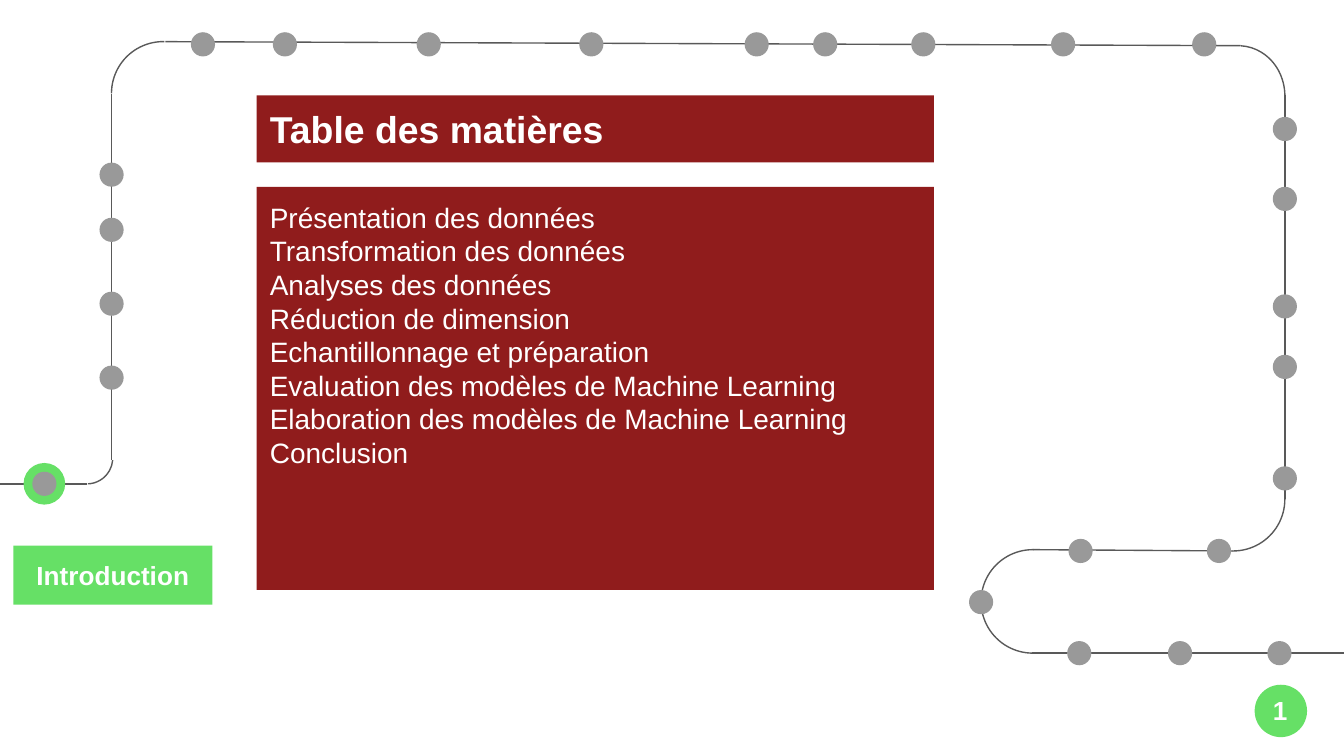
from lxml import etree
from pptx import Presentation
from pptx.dml.color import RGBColor
from pptx.enum.shapes import MSO_CONNECTOR, MSO_SHAPE
from pptx.enum.text import MSO_ANCHOR, PP_ALIGN
from pptx.oxml.ns import qn
from pptx.util import Inches, Pt

LINE = MSO_CONNECTOR.STRAIGHT
ARC, OVAL, RECT = MSO_SHAPE.ARC, MSO_SHAPE.OVAL, MSO_SHAPE.RECTANGLE
TOP, MIDDLE = MSO_ANCHOR.TOP, MSO_ANCHOR.MIDDLE
LEFT, CENTER = PP_ALIGN.LEFT, PP_ALIGN.CENTER

FONT = "Arial"
COLORS = {"track": "595959", "dot": "999999", "green": "66E066",
          "red": "901C1C", "text": "FFFFFF"}

TITLE = "Table des matières"
TOPICS = [
    "Présentation des données",
    "Transformation des données",
    "Analyses des données",
    "Réduction de dimension",
    "Echantillonnage et préparation",
    "Evaluation des modèles de Machine Learning",
    "Elaboration des modèles de Machine Learning",
    "Conclusion",
]
STAGE = "Introduction"
PAGE = "1"

# Straight track parts: x1, y1, x2, y2
TRACKS = [
    (-0.12, 3.6, 0.65, 3.6),
    (0.83, 3.42, 0.83, 0.7),
    (1.23, 0.31, 9.23, 0.34),
    (9.56, 0.71, 9.56, 3.71),
    (9.17, 4.1, 7.69, 4.09),
    (10.1, 4.86, 7.68, 4.86),
]
# Track bends: left, top, width, height, start and end angle in degrees
BENDS = [
    (0.46, 3.21, 0.38, 0.39, 5.8, 88.8),
    (0.83, 0.31, 0.77, 0.77, 180, 271.2),
    (8.87, 0.34, 0.69, 0.75, 272.5, 0),
    (8.79, 3.33, 0.77, 0.77, 0, 91.2),
    (7.3, 4.09, 0.77, 0.77, 90, 271.2),
]
# Dot centres: stops along the rows (y, xs) and the columns (x, ys)
ROWS = [
    (0.33, [1.51, 2.12, 3.19, 4.4, 5.63, 6.14, 6.87, 7.91, 8.96]),
    (3.6, [0.33]),
    (4.1, [8.04, 9.07]),
    (4.48, [7.3]),
    (4.86, [8.03, 8.78, 9.52]),
]
COLUMNS = [
    (0.83, [1.3, 1.71, 2.26, 2.81]),
    (9.56, [0.96, 1.48, 2.28, 2.73, 3.56]),
]
DOT, RING, BADGE = 0.18, 0.31, 0.39
PANEL_X, PANEL_W = 1.91, 5.04

deck = Presentation()
deck.slide_width = Inches(10)
deck.slide_height = deck.slide_width * 9 // 16
slide = deck.slides.add_slide(deck.slide_layouts[6])
shapes = slide.shapes


def color(name):
    return RGBColor.from_string(COLORS[name])


def ink(line):
    line.color.rgb = color("track")
    line.width = Pt(0.75)


def add_track(ends):
    track = shapes.add_connector(LINE, *map(Inches, ends))
    ink(track.line)
    etree.SubElement(track.element.spPr, qn("a:effectLst"))


def add_bend(box, start, end):
    bend = shapes.add_shape(ARC, *map(Inches, box))
    bend.shadow.inherit = False
    # The preset counts 60000ths of a degree, the adjustment 100000ths
    bend.adjustments[0], bend.adjustments[1] = start * 0.6, end * 0.6
    bend.fill.background()
    ink(bend.line)


def add_block(kind, box, fill):
    block = shapes.add_shape(kind, *map(Inches, box))
    block.shadow.inherit = False
    block.fill.solid()
    block.fill.fore_color.rgb = color(fill)
    block.line.fill.background()
    return block


def add_disc(x, y, size, fill):
    """Draw a disc centred on x, y."""
    add_block(OVAL, (x - size / 2, y - size / 2, size, size), fill)


def write(shape, lines, size, bold=False, align=LEFT, anchor=TOP):
    frame = shape.text_frame
    frame.text = "\n".join(lines)
    frame.word_wrap = True
    frame.vertical_anchor = anchor
    frame.margin_left = frame.margin_right = Inches(0.1)
    frame.margin_top = frame.margin_bottom = Inches(0.1)
    for para in frame.paragraphs:
        para.alignment = align
        for run in para.runs:
            run.font.name, run.font.size = FONT, Pt(size)
            run.font.bold = bold
            run.font.color.rgb = color("text")


for ends in TRACKS:
    add_track(ends)
for *box, start, end in BENDS:
    add_bend(box, start, end)

add_disc(0.33, 3.6, RING, "green")
stops = [(x, y) for y, xs in ROWS for x in xs]
stops += [(x, y) for x, ys in COLUMNS for y in ys]
for x, y in stops:
    add_disc(x, y, DOT, "dot")

add_disc(9.53, 5.29, BADGE, "green")
page = shapes.add_textbox(*map(Inches, (9.23, 4.99, 0.59, 0.59)))
write(page, [PAGE], 14, True, CENTER, MIDDLE)

stage = add_block(RECT, (0.1, 4.06, 1.48, 0.44), "green")
write(stage, [STAGE], 14, True, CENTER)
title = add_block(RECT, (PANEL_X, 0.71, PANEL_W, 0.5), "red")
write(title, [TITLE], 20, True, anchor=MIDDLE)
topics = add_block(RECT, (PANEL_X, 1.39, PANEL_W, 3), "red")
write(topics, TOPICS, 15)

deck.save("out.pptx")
